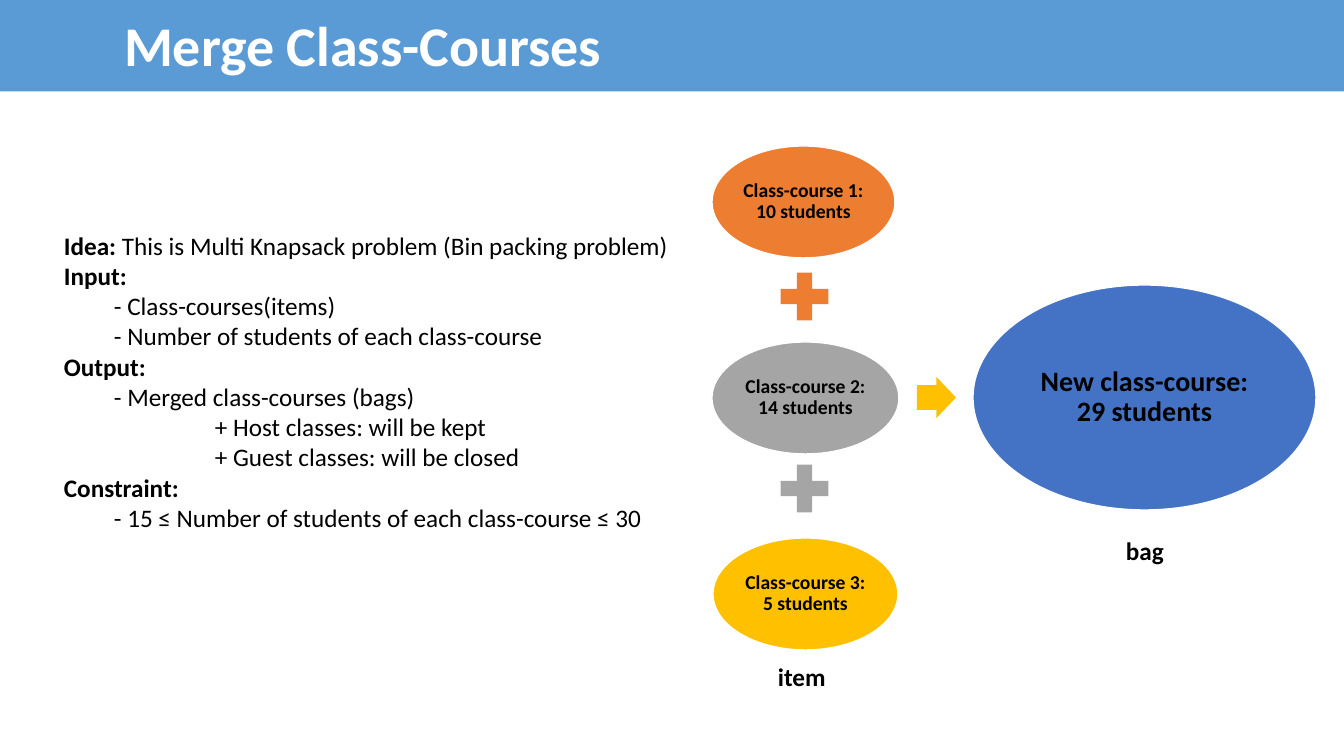
from dataclasses import dataclass

from pptx import Presentation
from pptx.dml.color import RGBColor
from pptx.enum.shapes import MSO_SHAPE as Preset
from pptx.enum.text import MSO_ANCHOR as Anchor, PP_ALIGN as Align
from pptx.util import Emu, Pt

PAGE_WIDTH, PAGE_HEIGHT = 1344, 756
EMU_PER_PX = 12192000 / PAGE_WIDTH


@dataclass(frozen=True)
class Theme:
    font: str = "Calibri"
    banner: str = "5B9BD5"
    orange: str = "ED7D31"
    grey: str = "A5A5A5"
    gold: str = "FFC000"
    blue: str = "4472C4"
    ink: str = "000000"
    white: str = "FFFFFF"
    title_size: int = 40
    result_size: int = 20
    body_size: int = 18
    course_size: int = 14


THEME = Theme()

# (left, width, label, colour) from top to bottom
COURSES = [
    (712, 183, "Class-course 1: 10 students", THEME.orange),
    (712, 187, "Class-course 2: 14 students", THEME.grey),
    (713, 185, "Class-course 3: 5 students", THEME.gold),
]
COURSE_TOP, COURSE_STEP, COURSE_HEIGHT = 146, 196, 112
PLUS_LEFT, PLUS_TOP, PLUS_STEP, PLUS_SIZE = 772, 264, 192, 65

# (indent in px, bold lead, plain text)
FIRST_INDENT, SECOND_INDENT = 50, 151
BODY = [
    (0, "Idea: ", "This is Multi Knapsack problem (Bin packing problem)"),
    (0, "Input:", ""),
    (FIRST_INDENT, "", "- Class-courses(items)"),
    (FIRST_INDENT, "", "- Number of students of each class-course"),
    (0, "Output:", ""),
    (FIRST_INDENT, "", "- Merged class-courses (bags)"),
    (SECOND_INDENT, "", "+ Host classes: will be kept"),
    (SECOND_INDENT, "", "+ Guest classes: will be closed"),
    (0, "Constraint:", ""),
    (FIRST_INDENT, "", "- 15 ≤ Number of students of each class-course ≤ 30"),
]


def px(length):
    return Emu(round(length * EMU_PER_PX))


def style_span(span, size, colour=THEME.ink, bold=True):
    font = span.font
    font.name, font.size, font.bold = THEME.font, Pt(size), bold
    font.color.rgb = RGBColor.from_string(colour)


def add_preset(page, preset, left, top, width, height, fill, outline=None):
    shape = page.shapes.add_shape(preset, px(left), px(top), px(width), px(height))
    shape.shadow.inherit = False
    shape.fill.solid()
    shape.fill.fore_color.rgb = RGBColor.from_string(fill)
    if outline:
        shape.line.color.rgb = RGBColor.from_string(outline)
        shape.line.width = Pt(1)
    else:
        shape.line.fill.background()
    return shape


def add_text_box(page, left, top, width, height, wrap=True):
    box = page.shapes.add_textbox(px(left), px(top), px(width), px(height))
    box.text_frame.word_wrap = wrap
    return box.text_frame


def add_banner(page, title):
    banner = add_preset(page, Preset.RIGHT_ARROW, 0, -51, 1483, 190, THEME.banner)
    frame = banner.text_frame
    frame.text = title
    frame.margin_left = px(124)
    frame.vertical_anchor = Anchor.MIDDLE
    para = frame.paragraphs[0]
    para.alignment = Align.LEFT
    style_span(para.runs[0], THEME.title_size, THEME.white)


def add_body(page):
    frame = add_text_box(page, 54, 225, 686, 346)
    for index, (indent, lead, rest) in enumerate(BODY):
        para = frame.paragraphs[0] if index == 0 else frame.add_paragraph()
        para.text = lead or rest
        style_span(para.runs[0], THEME.body_size, bold=bool(lead))
        if lead and rest:
            span = para.add_run()
            span.text = rest
            style_span(span, THEME.body_size, bold=False)
        if indent:
            para.level = 1
            properties = para._p.get_or_add_pPr()
            properties.set("marL", str(px(indent)))
            properties.set("indent", "0")


def add_ellipse(page, left, top, width, height, label, fill, size):
    """Draw an ellipse with its label in the largest rectangle that fits inside."""
    add_preset(page, Preset.OVAL, left, top, width, height, fill, THEME.white)
    inner = 0.71
    edge = (1 - inner) / 2
    frame = add_text_box(page, left + width * edge, top + height * edge,
                         width * inner, height * inner)
    frame.margin_left = frame.margin_right = px(2)
    frame.margin_top = frame.margin_bottom = px(2)
    frame.vertical_anchor = Anchor.MIDDLE
    frame.text = label
    para = frame.paragraphs[0]
    para.alignment = Align.CENTER
    para.line_spacing = 0.9
    style_span(para.runs[0], size)


def add_courses(page):
    for index, (left, width, label, colour) in enumerate(COURSES):
        add_ellipse(page, left, COURSE_TOP + index * COURSE_STEP, width,
                    COURSE_HEIGHT, label, colour, THEME.course_size)
        if index < len(COURSES) - 1:
            add_preset(page, Preset.MATH_PLUS, PLUS_LEFT,
                       PLUS_TOP + index * PLUS_STEP, PLUS_SIZE, PLUS_SIZE, colour)


def add_result(page):
    arrow = add_preset(page, Preset.RIGHT_ARROW, 917, 377, 39, 41, THEME.gold)
    arrow.adjustments[0] = 0.6
    add_ellipse(page, 973, 285, 343, 225, "New class-course: 29 students",
                THEME.blue, THEME.result_size)


def add_caption(page, left, top, width, caption):
    frame = add_text_box(page, left, top, width, 40, wrap=False)
    frame.text = caption
    style_span(frame.paragraphs[0].runs[0], THEME.body_size)


def main():
    deck = Presentation()
    deck.slide_width, deck.slide_height = px(PAGE_WIDTH), px(PAGE_HEIGHT)
    page = deck.slides.add_slide(deck.slide_layouts[6])
    add_banner(page, "Merge Class-Courses")
    add_body(page)
    add_courses(page)
    add_result(page)
    add_caption(page, 768, 656, 69, "item")
    add_caption(page, 1116, 530, 58, "bag")
    deck.save("out.pptx")


if __name__ == "__main__":
    main()
